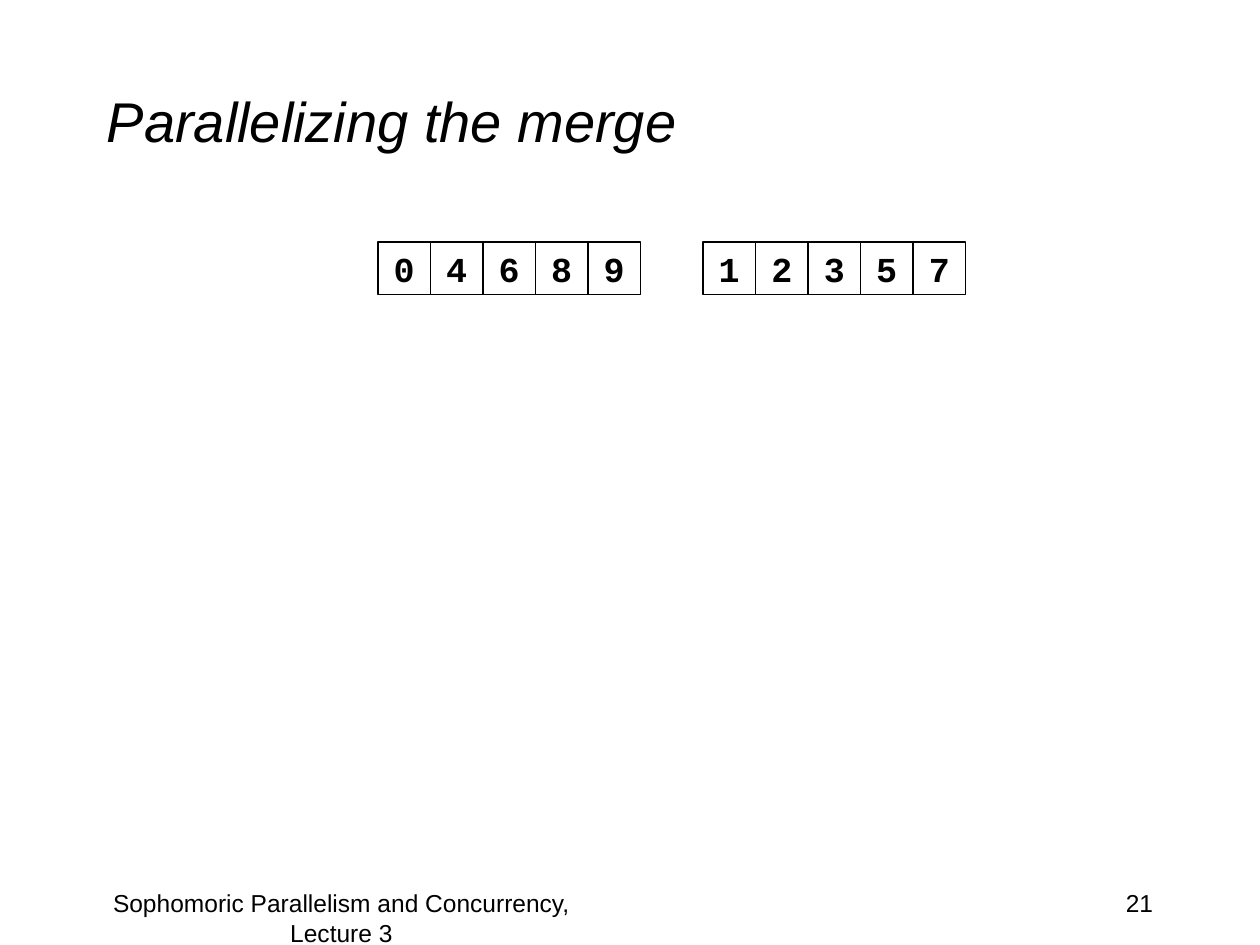
"""Build the slide on parallelizing the merge."""
from dataclasses import dataclass

from pptx import Presentation
from pptx.dml.color import RGBColor
from pptx.enum.shapes import MSO_SHAPE
from pptx.enum.text import MSO_ANCHOR, PP_ALIGN
from pptx.util import Inches, Pt


@dataclass(frozen=True)
class Theme:
    """Hold the colours, fonts and type sizes."""
    ink: RGBColor = RGBColor(0, 0, 0)
    sans: str = "Arial"
    mono: str = "Courier New"
    title: int = 32
    cell: int = 20
    foot: int = 14
    line: float = 0.75


THEME = Theme()


def write(frame, text, size, name, align, bold=False, italic=False):
    """Put one styled paragraph into a text frame."""
    para = frame.paragraphs[0]
    para.text = text
    para.alignment = align
    font = para.font
    font.size = Pt(size)
    font.name = name
    font.bold = bold
    font.italic = italic
    font.color.rgb = THEME.ink


def add_text(slide, box, text, size, align, anchor=MSO_ANCHOR.TOP, italic=False):
    """Add a wrapped text box."""
    frame = slide.shapes.add_textbox(*map(Inches, box)).text_frame
    frame.word_wrap = True
    frame.vertical_anchor = anchor
    write(frame, text, size, THEME.sans, align, italic=italic)


def add_cell(slide, left, top, side, text):
    """Add one outlined array cell."""
    box = map(Inches, (left, top, side, side))
    cell = slide.shapes.add_shape(MSO_SHAPE.RECTANGLE, *box)
    cell.shadow.inherit = False
    cell.fill.background()
    cell.line.color.rgb = THEME.ink
    cell.line.width = Pt(THEME.line)
    frame = cell.text_frame
    frame.word_wrap = False
    frame.vertical_anchor = MSO_ANCHOR.MIDDLE
    write(frame, text, THEME.cell, THEME.mono, PP_ALIGN.CENTER, bold=True)


def add_array(slide, left, top, digits):
    """Add a row of touching cells, one for each digit."""
    side = 5 / 12
    for index, digit in enumerate(digits):
        add_cell(slide, left + index * side, top, side, digit)


def main():
    """Build and save the slide."""
    deck = Presentation()
    deck.slide_width, deck.slide_height = Inches(10), Inches(7.5)
    slide = deck.slides.add_slide(deck.slide_layouts[6])
    add_text(slide, (0.75, 0.33, 8.5, 1.25), "Parallelizing the merge",
             THEME.title, PP_ALIGN.LEFT, MSO_ANCHOR.MIDDLE, italic=True)
    add_text(slide, (7.17, 7, 2.08, 0.5), "21", THEME.foot, PP_ALIGN.RIGHT)
    add_text(slide, (0.5, 7, 4.42, 0.5),
             "Sophomoric Parallelism and Concurrency, Lecture 3",
             THEME.foot, PP_ALIGN.CENTER)
    for left, digits in ((3, "04689"), (5.58, "12357")):
        add_array(slide, left, 1.92, digits)
    deck.save("out.pptx")


main()
